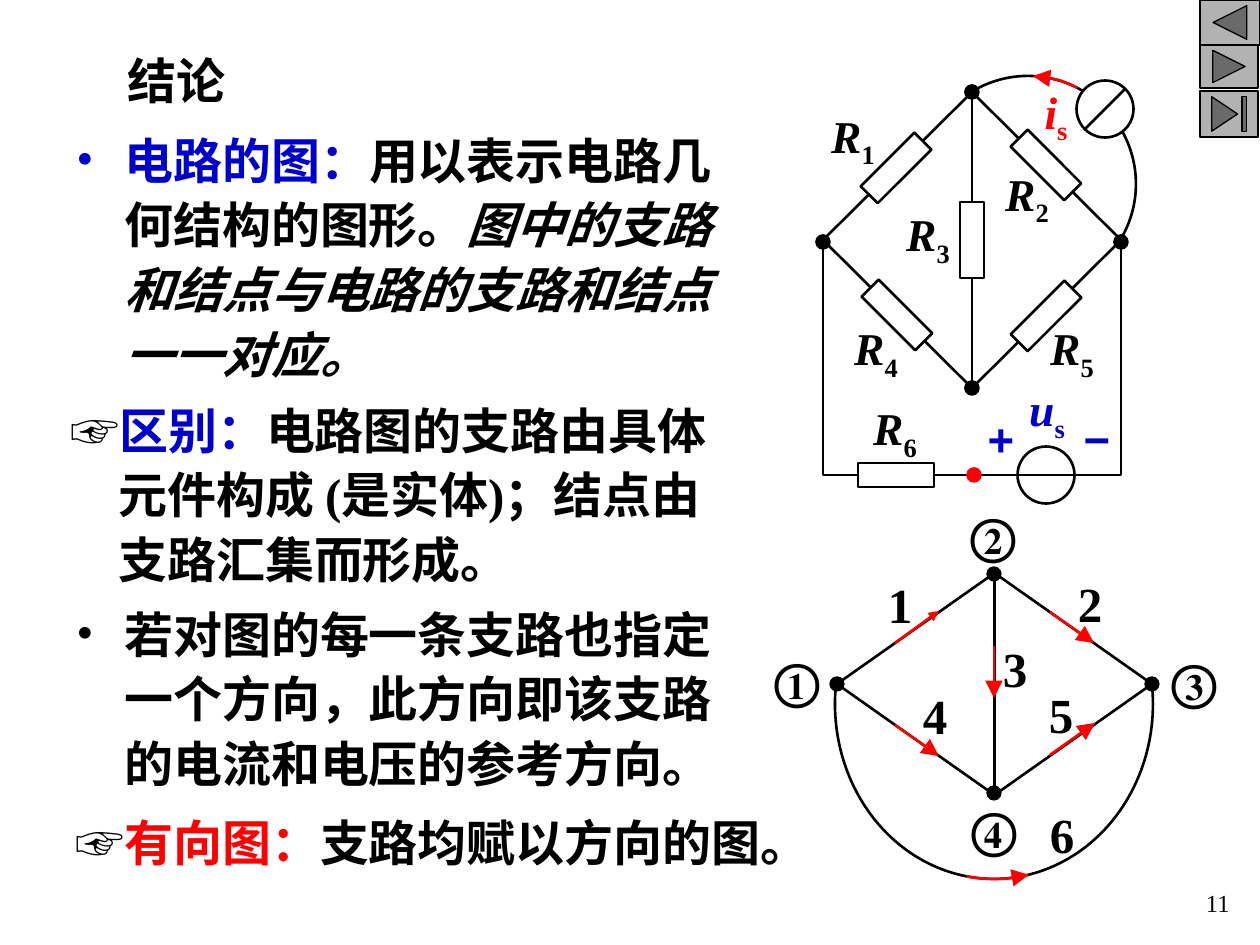
from dataclasses import dataclass

import pptx
import pptx.dml.color
import pptx.enum.lang
import pptx.enum.shapes
import pptx.enum.text
import pptx.oxml.ns
import pptx.util
from lxml import etree

RGBColor = pptx.dml.color.RGBColor
Shape = pptx.enum.shapes.MSO_SHAPE
Align = pptx.enum.text.PP_ALIGN
Anchor = pptx.enum.text.MSO_ANCHOR
qn = pptx.oxml.ns.qn

BLACK = RGBColor(0x00, 0x00, 0x00)
WHITE = RGBColor(0xFF, 0xFF, 0xFF)
RED = RGBColor(0xFF, 0x00, 0x00)
BLUE = RGBColor(0x00, 0x00, 0xCC)
GRAY = RGBColor(0xB2, 0xB2, 0xB2)
SERIF, SANS = "Times New Roman", "Arial"
PX_PER_INCH = 126
HANG = 48


@dataclass
class Span:
    text: str
    color: RGBColor = BLACK
    font: str = SERIF
    italic: bool = False
    baseline: int = 0


@dataclass
class Resistor:
    number: int
    center: tuple[int, int]
    angle: int
    label: tuple[int, int]


@dataclass
class Arrow:
    tail: tuple[int, int]
    tip: tuple[int, int]
    head: str = "lg"


def px(value: float) -> int:
    return round(value * 914400 / PX_PER_INCH)


def add_text(page, text, left: int, top: int, width: int, height: int, *, size=28, bold=True,
             align=Align.LEFT, anchor=Anchor.TOP, wrap=True, grow=True, inset=True,
             spacing=None, before=0, hang=0, bullet=None):
    """Add a text box; text is one Span or a list of them."""
    box = page.shapes.add_textbox(px(left), px(top), px(width), px(height))
    frame = box.text_frame
    frame.word_wrap = wrap
    frame.vertical_anchor = anchor
    if grow:
        frame.auto_size = pptx.enum.text.MSO_AUTO_SIZE.SHAPE_TO_FIT_TEXT
    if not inset:
        frame.margin_left = frame.margin_right = frame.margin_top = frame.margin_bottom = 0
    para = frame.paragraphs[0]
    para.alignment = align
    if spacing:
        para.line_spacing = spacing
    para.space_before = pptx.util.Pt(before)
    props = para._p.get_or_add_pPr()
    if hang:
        props.set("marL", str(px(hang)))
        props.set("indent", str(-px(hang)))
    if bullet is not None:
        tint = etree.SubElement(props, qn("a:buClr"))
        etree.SubElement(tint, qn("a:srgbClr"), val=str(bullet))
        etree.SubElement(props, qn("a:buFont"), typeface=SERIF)
        etree.SubElement(props, qn("a:buChar"), char="•")
    for item in text if isinstance(text, list) else [text]:
        span = para.add_run()
        span.text = item.text
        span.font.name = item.font
        span.font.size = pptx.util.Pt(size)
        span.font.bold = bold
        span.font.italic = item.italic
        span.font.color.rgb = item.color
        span.font.language_id = pptx.enum.lang.MSO_LANGUAGE_ID.SIMPLIFIED_CHINESE
        if item.baseline:
            span._r.get_or_add_rPr().set("baseline", str(item.baseline * 1000))
    return box


def style(shape, fill=None, color: RGBColor = BLACK, weight: float = 1.5) -> None:
    shape.shadow.inherit = False
    if fill is None:
        shape.fill.background()
    else:
        shape.fill.solid()
        shape.fill.fore_color.rgb = fill
    shape.line.color.rgb = color
    shape.line.width = pptx.util.Pt(weight)


def add_preset(page, kind, left: float, top: float, width: int, height: int, **look):
    shape = page.shapes.add_shape(kind, px(left), px(top), px(width), px(height))
    style(shape, **look)
    return shape


def add_circle(page, center: tuple[int, int], diameter: int, **look):
    x, y = center
    return add_preset(page, Shape.OVAL, x - diameter / 2, y - diameter / 2,
                      diameter, diameter, **look)


def add_end(shape, kind: str, head: str = "lg") -> None:
    line = shape.line._get_or_add_ln()
    etree.SubElement(line, qn(f"a:{kind}"), type="triangle", w=head, len=head)


def add_arc(page, center: tuple[int, int], radii: tuple[int, int], start: float, end: float,
            color: RGBColor = BLACK, arrow: bool = False) -> None:
    (x, y), (rx, ry) = center, radii
    arc = add_preset(page, Shape.ARC, x - rx, y - ry, 2 * rx, 2 * ry, color=color)
    for index, degrees in enumerate((start, end)):
        arc.adjustments[index] = degrees * 0.6
    if arrow:
        add_end(arc, "headEnd")


def add_line(page, start: tuple[int, int], end: tuple[int, int], color: RGBColor = BLACK):
    line = page.shapes.add_connector(pptx.enum.shapes.MSO_CONNECTOR.STRAIGHT,
                                     *(px(value) for value in (*start, *end)))
    line.line.color.rgb = color
    line.line.width = pptx.util.Pt(1.5)
    etree.SubElement(line._element.spPr, qn("a:effectLst"))
    return line


def add_diamond(page, left: int, top: int, width: int, height: int) -> None:
    """Add a diamond with its vertical diagonal."""
    diamond = add_preset(page, Shape.DIAMOND, left, top, width, height)
    middle = left + width // 2
    diagonal = add_line(page, (middle, top), (middle, top + height))
    diagonal.begin_connect(diamond, 0)
    diagonal.end_connect(diamond, 2)


def add_symbol(page, text, center: int, top: int) -> None:
    """Add a one-line circuit label centred on a given x."""
    add_text(page, text, center - 50, top, 100, 76, size=26, align=Align.CENTER, grow=False)


def indexed(letter: str, index: str, color: RGBColor = BLACK) -> list[Span]:
    return [Span(letter, color, italic=True), Span(index, color, baseline=-25)]


def add_resistor(page, part: Resistor) -> None:
    x, y = part.center
    body = add_preset(page, Shape.RECTANGLE, x - 12, y - 38, 24, 76, fill=WHITE)
    body.rotation = part.angle
    add_symbol(page, indexed("R", str(part.number)), *part.label)


def draw_buttons(page) -> None:
    for kind, top, width, height in [(Shape.ACTION_BUTTON_BACK_OR_PREVIOUS, 0, 60, 45),
                                     (Shape.ACTION_BUTTON_FORWARD_OR_NEXT, 45, 58, 43),
                                     (Shape.ACTION_BUTTON_END, 91, 58, 46)]:
        add_preset(page, kind, 1200, top, width, height, fill=GRAY, weight=0.75)


def draw_notes(page) -> None:
    hand = Span("☞", font=SANS)
    add_text(page, Span("结论"), 115, 44, 223, 72, anchor=Anchor.MIDDLE)
    add_text(page, [Span("电路的图：", BLUE), Span("用以表示电路几何结构的图形。"),
                    Span("图中的支路和结点与电路的支路和结点一一对应。", italic=True)],
             64, 118, 693, 272, spacing=1.1, before=7, hang=HANG, bullet=BLUE)
    add_text(page, [hand, Span("区别：", BLUE),
                    Span("电路图的支路由具体元件构成 (是实体)；结点由支路汇集而形成。")],
             58, 388, 693, 207, spacing=1.1, before=7, hang=HANG)
    add_text(page, Span("若对图的每一条支路也指定一个方向，此方向即该支路的电流和电压的参考方向。"),
             64, 592, 707, 207, spacing=1.1, hang=HANG, bullet=BLACK, grow=False)
    add_text(page, [hand, Span("有向图：", RED), Span("支路均赋以方向的图。")],
             63, 800, 789, 77, spacing=1.1, anchor=Anchor.MIDDLE)
    add_text(page, Span("11"), 940, 882, 302, 63, size=14, bold=False,
             align=Align.RIGHT, grow=False)


def draw_circuit(page) -> None:
    # Wires
    add_diamond(page, 823, 92, 298, 296)
    outline = page.shapes.build_freeform(px(823), px(241))
    outline.add_line_segments([(px(x), px(y)) for x, y in [(823, 475), (1121, 475), (1121, 241)]],
                              close=False)
    style(outline.convert_to_shape())
    add_arc(page, (1028, 184), (108, 108), 238.3, 30.7)
    add_arc(page, (1028, 185), (109, 109), 272.6, 296.9, color=RED, arrow=True)
    # Resistors
    for part in [Resistor(1, (896, 168), 45, (853, 102)), Resistor(2, (1046, 165), 315, (1027, 160)),
                 Resistor(3, (972, 240), 0, (928, 200)), Resistor(4, (897, 315), 315, (876, 314)),
                 Resistor(5, (1046, 316), 45, (1072, 314)), Resistor(6, (896, 475), 90, (895, 394))]:
        add_resistor(page, part)
    # Sources
    add_circle(page, (1046, 475), 57)
    add_circle(page, (1105, 109), 57, fill=WHITE)
    add_line(page, (1084, 130), (1125, 89))
    add_symbol(page, indexed("u", "s", BLUE), 1047, 375)
    add_symbol(page, indexed("i", "s", RED), 1056, 78)
    for sign, center in [("+", 1001), ("−", 1097)]:
        add_symbol(page, Span(sign, BLUE, SANS), center, 405)
    # Nodes
    for center in [(972, 92), (823, 242), (1121, 242), (972, 388)]:
        add_circle(page, center, 13, fill=BLACK)
    add_circle(page, (974, 475), 13, fill=RED, color=RED)


def draw_graph(page) -> None:
    add_diamond(page, 837, 573, 315, 222)
    add_arc(page, (994, 704), (159, 175), 352.3, 187.7)
    for center in [(994, 574), (837, 684), (994, 793), (1152, 684)]:
        add_circle(page, center, 14, fill=BLACK, weight=0.75)
    # Branch directions
    for arrow in [Arrow((895, 643), (939, 611), "med"), Arrow((1050, 612), (1094, 643)),
                  Arrow((994, 646), (994, 698)), Arrow((895, 725), (939, 756)),
                  Arrow((1050, 755), (1095, 723))]:
        add_end(add_line(page, arrow.tail, arrow.tip, RED), "tailEnd", arrow.head)
    add_arc(page, (994, 704), (159, 175), 78.4, 99, color=RED, arrow=True)
    # Branch and node numbers
    branches = [(888, 575), (1078, 573), (1003, 639), (923, 685), (1049, 684), (1050, 804)]
    nodes = [(775, 650), (970, 505), (1171, 652), (972, 799)]
    for marks, places, width in [("123456", branches, 24), ("①②③④", nodes, 45)]:
        for mark, (left, top) in zip(marks, places):
            add_text(page, Span(mark), left, top, width, 59, wrap=False, inset=False)


def main() -> None:
    deck = pptx.Presentation()
    deck.slide_width, deck.slide_height = px(1260), px(945)
    page = deck.slides.add_slide(deck.slide_layouts[6])
    draw_buttons(page)
    draw_notes(page)
    draw_graph(page)
    draw_circuit(page)
    deck.save("out.pptx")


if __name__ == "__main__":
    main()
